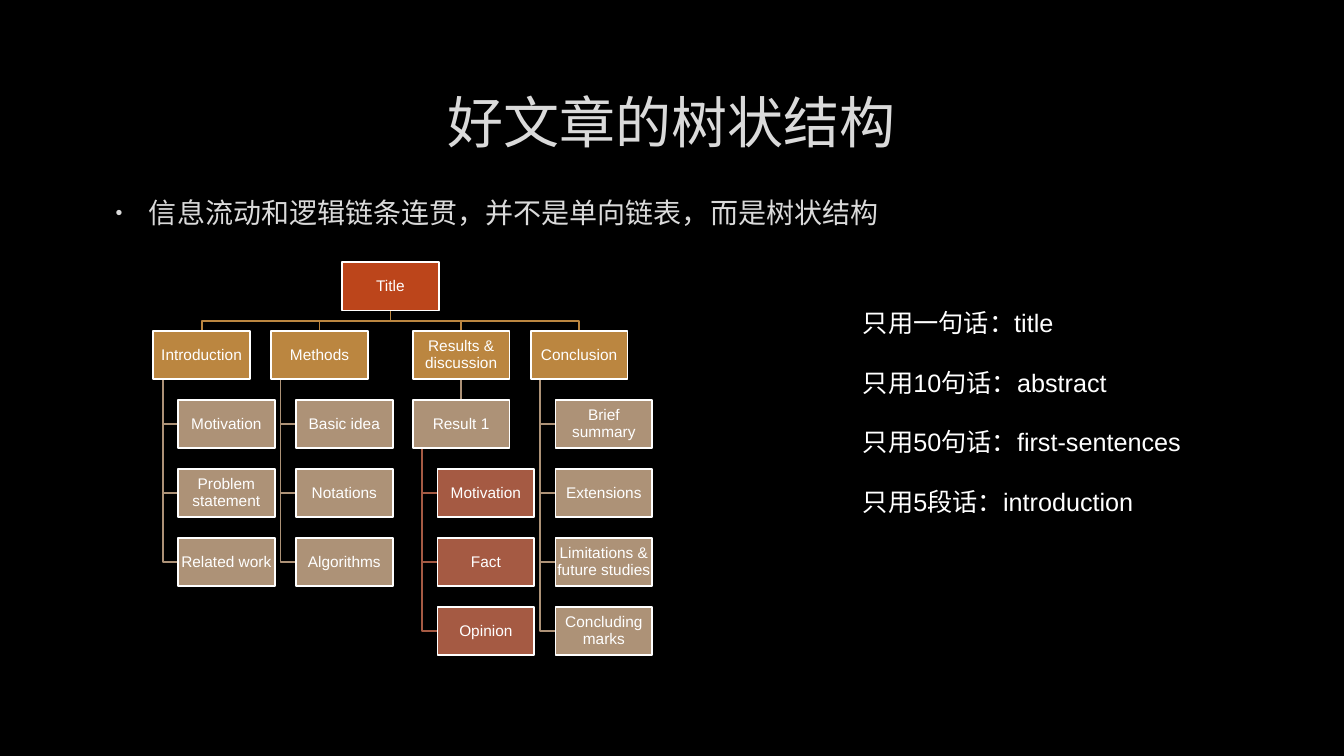
import dataclasses
import typing

import lxml.etree
import pptx
import pptx.dml.color
import pptx.enum.shapes
import pptx.enum.text
import pptx.oxml.ns
import pptx.util

RGBColor = pptx.dml.color.RGBColor
Inches = pptx.util.Inches
Pt = pptx.util.Pt
Align = pptx.enum.text.PP_ALIGN
Anchor = pptx.enum.text.MSO_ANCHOR

BLACK = RGBColor(0x00, 0x00, 0x00)
WHITE = RGBColor(0xFF, 0xFF, 0xFF)
LIGHT_GREY = RGBColor(0xDA, 0xDA, 0xDA)
RED = RGBColor(0xBC, 0x45, 0x1B)
GOLD = RGBColor(0xBB, 0x86, 0x40)
TAN = RGBColor(0xAD, 0x92, 0x77)
BRICK = RGBColor(0xA5, 0x5A, 0x43)

FONT = "Arial"
SLIDE_WIDTH, SLIDE_HEIGHT = 13.33, 7.5
TREE_LEFT, TREE_TOP = 1.52, 2.6
COLUMN, ROW = 1.17, 3.42 / 5
BOX_WIDTH, BOX_HEIGHT = 0.96, 0.48
CHILD_INDENT, TRUNK_INDENT = 0.21, 0.08
LINE_WIDTH = Pt(1.25)

SECTIONS = [
    ("Introduction", 0, ["Motivation", "Problem statement", "Related work"]),
    ("Methods", 1, ["Basic idea", "Notations", "Algorithms"]),
    ("Results & discussion", 2.2, []),
    ("Conclusion", 3.2, ["Brief summary", "Extensions",
                         "Limitations & future studies", "Concluding marks"]),
]
RESULT_PARTS = ["Motivation", "Fact", "Opinion"]
SUMMARIES = ["只用一句话：title", "只用10句话：abstract",
             "只用50句话：first-sentences", "只用5段话：introduction"]


@dataclasses.dataclass
class Node:
    """A box of the tree, placed by grid column and row."""
    text: str
    column: float
    row: int
    color: RGBColor
    parent: typing.Optional["Node"] = None
    hangs: bool = False

    @property
    def left(self):
        """Return the left edge in inches."""
        return TREE_LEFT + self.column * COLUMN

    @property
    def top(self):
        """Return the top edge in inches."""
        return TREE_TOP + self.row * ROW

    @property
    def center(self):
        """Return the horizontal centre in inches."""
        return self.left + BOX_WIDTH / 2

    @property
    def bottom(self):
        """Return the bottom edge in inches."""
        return self.top + BOX_HEIGHT


def hanging_nodes(parent, texts, color):
    """Return indented nodes stacked below their parent."""
    return [Node(text, parent.column + CHILD_INDENT, row, color, parent, True)
            for row, text in enumerate(texts, parent.row + 1)]


def article_tree():
    """Return all nodes of the article outline."""
    root = Node("Title", 1.6, 0, RED)
    nodes = [root]
    for heading, column, topics in SECTIONS:
        section = Node(heading, column, 1, GOLD, root)
        nodes += [section] + hanging_nodes(section, topics, TAN)
        if heading.startswith("Results"):
            result = Node("Result 1", column, 2, TAN, section)
            nodes += [result] + hanging_nodes(result, RESULT_PARTS, BRICK)
    return nodes


def add_run(paragraph, text, size, color):
    """Add one formatted run to a paragraph."""
    run = paragraph.add_run()
    run.text = text
    run.font.name = FONT
    run.font.size = Pt(size)
    run.font.color.rgb = color


def add_text(slide, area, texts, size, color, align=Align.LEFT,
             anchor=Anchor.TOP, gap=0):
    """Add a text box, its area in percent of the slide, and return its paragraphs."""
    left, top, width, height = area
    box = slide.shapes.add_textbox(
        Inches(left * SLIDE_WIDTH / 100), Inches(top * SLIDE_HEIGHT / 100),
        Inches(width * SLIDE_WIDTH / 100), Inches(height * SLIDE_HEIGHT / 100))
    frame = box.text_frame
    frame.word_wrap = True
    frame.vertical_anchor = anchor
    for index, text in enumerate(texts):
        paragraph = frame.add_paragraph() if index else frame.paragraphs[0]
        paragraph.alignment = align
        paragraph.space_after = Pt(gap)
        add_run(paragraph, text, size, color)
    return frame.paragraphs


def add_bullet(paragraph, color):
    """Give a paragraph a small hanging bullet."""
    qn = pptx.oxml.ns.qn
    properties = paragraph._p.get_or_add_pPr()
    properties.set("marL", str(Inches(0.38)))
    properties.set("indent", str(Inches(-0.33)))
    bullet_color = lxml.etree.SubElement(properties, qn("a:buClr"))
    lxml.etree.SubElement(bullet_color, qn("a:srgbClr"), val=str(color))
    lxml.etree.SubElement(properties, qn("a:buSzPct"), val="70000")
    lxml.etree.SubElement(properties, qn("a:buFont"), typeface=FONT)
    lxml.etree.SubElement(properties, qn("a:buChar"), char="•")


def add_straight(slide, start, end, color):
    """Add a straight line without shadow."""
    line = slide.shapes.add_connector(
        pptx.enum.shapes.MSO_CONNECTOR.STRAIGHT,
        *(Inches(length) for length in start + end))
    line.line.color.rgb = color
    line.line.width = LINE_WIDTH
    properties = line._element.spPr
    lxml.etree.SubElement(properties, pptx.oxml.ns.qn("a:effectLst"))


def add_elbow(slide, points, color):
    """Add an open angled line through the points."""
    corners = [(Inches(x), Inches(y)) for x, y in points]
    builder = slide.shapes.build_freeform(*corners[0])
    builder.add_line_segments(corners[1:], close=False)
    shape = builder.convert_to_shape()
    shape.shadow.inherit = False
    shape.fill.background()
    shape.line.color.rgb = color
    shape.line.width = LINE_WIDTH


def add_link(slide, node):
    """Link a node to its parent."""
    parent = node.parent
    if node.hangs:
        trunk = parent.left + TRUNK_INDENT * COLUMN
        middle = node.top + BOX_HEIGHT / 2
        points = [(trunk, parent.bottom), (trunk, middle), (node.left, middle)]
        add_elbow(slide, points, node.color)
    elif node.column == parent.column:
        add_straight(slide, (parent.center, parent.bottom),
                     (node.center, node.top), node.color)
    else:
        bend = (parent.bottom + node.top) / 2
        points = [(parent.center, parent.bottom), (parent.center, bend),
                  (node.center, bend), (node.center, node.top)]
        add_elbow(slide, points, node.color)


def add_box(slide, node):
    """Add the labelled rectangle of a node."""
    shape = slide.shapes.add_shape(
        pptx.enum.shapes.MSO_SHAPE.RECTANGLE, Inches(node.left),
        Inches(node.top), Inches(BOX_WIDTH), Inches(BOX_HEIGHT))
    shape.shadow.inherit = False
    shape.fill.solid()
    shape.fill.fore_color.rgb = node.color
    shape.line.color.rgb = WHITE
    shape.line.width = LINE_WIDTH
    frame = shape.text_frame
    frame.word_wrap = True
    frame.vertical_anchor = Anchor.MIDDLE
    frame.margin_left = frame.margin_right = Inches(0.01)
    frame.margin_top = frame.margin_bottom = Inches(0.01)
    paragraph = frame.paragraphs[0]
    paragraph.alignment = Align.CENTER
    paragraph.line_spacing = 0.9
    add_run(paragraph, node.text, 11, WHITE)


def main():
    """Build and save the slide."""
    presentation = pptx.Presentation()
    presentation.slide_width = Inches(SLIDE_WIDTH)
    presentation.slide_height = Inches(SLIDE_HEIGHT)
    slide = presentation.slides.add_slide(presentation.slide_layouts[6])
    slide.background.fill.solid()
    slide.background.fill.fore_color.rgb = BLACK
    add_text(slide, (7.5, 8.93, 84.92, 14.13), ["好文章的树状结构"], 40,
             LIGHT_GREY, Align.CENTER, Anchor.MIDDLE)
    message = add_text(slide, (7.5, 25.2, 84.92, 59.2),
                       ["信息流动和逻辑链条连贯，并不是单向链表，而是树状结构"],
                       20, LIGHT_GREY, gap=6)[0]
    message.space_before = Pt(4)
    add_bullet(message, LIGHT_GREY)
    nodes = article_tree()
    for node in nodes[1:]:
        add_link(slide, node)
    for node in nodes:
        add_box(slide, node)
    add_text(slide, (63.47, 40, 26.33, 29.6), SUMMARIES, 18, WHITE, gap=21)
    presentation.save("out.pptx")


main()
